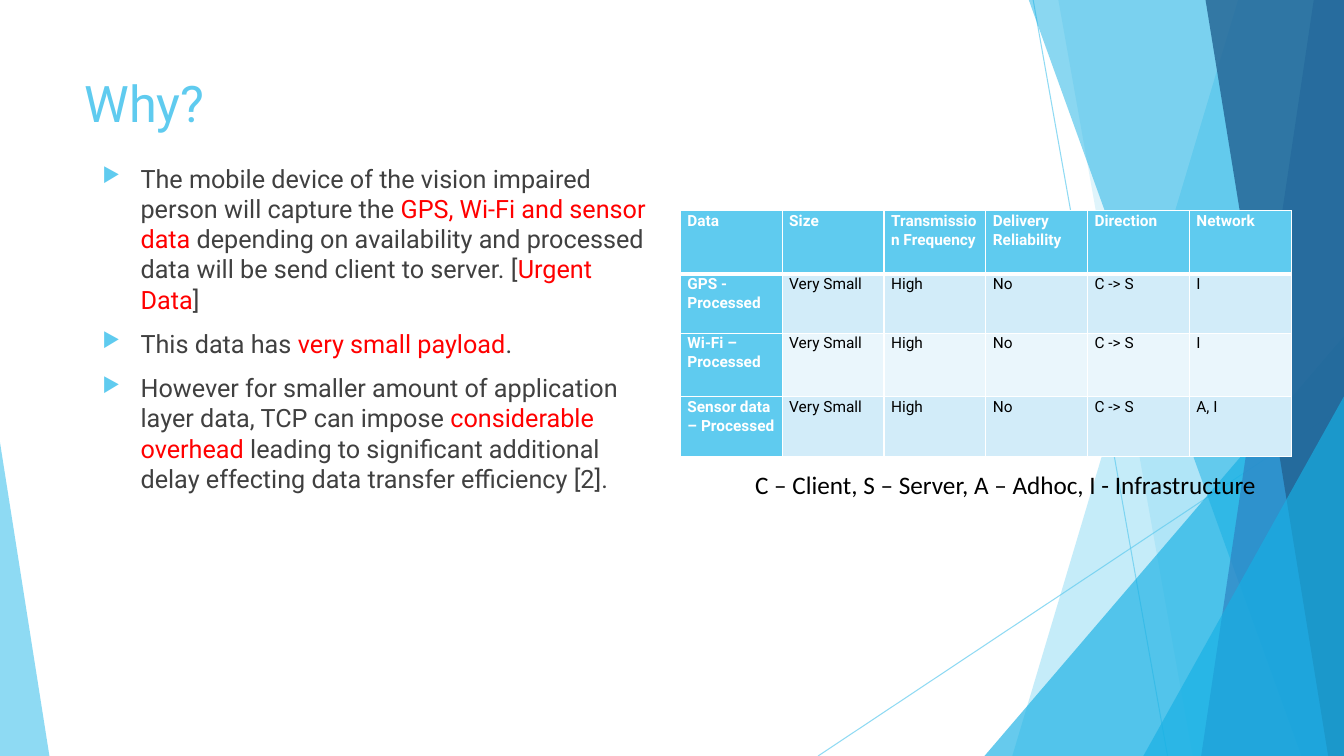
from lxml import etree
from pptx import Presentation, util as u
from pptx.dml.color import RGBColor
from pptx.enum import shapes, text
from pptx.oxml import ns

COLUMNS, ROWS = 40, 22.5
CELL = u.Inches(13.333) / COLUMNS

SKY, CYAN, BLUE, NAVY = "5FCBEF", "17B0E4", "2E83C3", "226292"
WHITE, BLACK, GREY, RED = "FFFFFF", "000000", "404040", "FF0000"
BANDS = ("D2ECF9", "EAF6FC")

# Each bullet alternates plain and highlighted runs.
BULLETS = [
    ["The mobile device of the vision impaired person will capture the ",
     "GPS, Wi-Fi and sensor data ",
     "depending on availability and processed data will be send client to server. [",
     "Urgent Data", "]"],
    ["This data has ", "very small payload", "."],
    ["However for smaller amount of application layer data, TCP can impose ",
     "considerable overhead ",
     "leading to significant additional delay effecting data transfer efficiency [2]."],
]
TRAFFIC = [
    ["Data", "Size", "Transmission Frequency", "Delivery Reliability", "Direction", "Network"],
    ["GPS - Processed", "Very Small", "High", "No", "C -> S", "I"],
    ["Wi-Fi – Processed", "Very Small", "High", "No", "C -> S", "I"],
    ["Sensor data – Processed", "Very Small", "High", "No", "C -> S", "A, I"],
]
TRAFFIC_ROWS = [1.88, 1.77, 1.89, 1.77]


def grid(*cells):
    """Turn counts of grid cells into lengths."""
    return [u.Emu(round(cell * CELL)) for cell in cells]


def color(value):
    return RGBColor.from_string(value)


def add_xml(parent, tag, **attributes):
    return etree.SubElement(parent, ns.qn(tag), attributes)


def set_opacity(shape, percent):
    """Make the shape's only colour, of fill or line, see-through."""
    tone = next(shape._element.spPr.iter(ns.qn("a:srgbClr")))
    add_xml(tone, "a:alpha", val=str(percent * 1000))


def paint(shape, fill, opacity):
    shape.shadow.inherit = False
    shape.line.fill.background()
    shape.fill.solid()
    shape.fill.fore_color.rgb = color(fill)
    set_opacity(shape, opacity)


def add_ray(slide, *ends):
    ray = slide.shapes.add_connector(shapes.MSO_CONNECTOR.STRAIGHT, *grid(*ends))
    ray.line.color.rgb = color(SKY)
    ray.line.width = u.Pt(0.75)
    set_opacity(ray, 70)
    add_xml(ray._element.spPr, "a:effectLst")


def add_facet(slide, top, bottom, fill, opacity):
    """Fill from a slanted edge to the right side of the slide."""
    outline = slide.shapes.build_freeform(*grid(top, 0))
    corners = [(COLUMNS, 0), (COLUMNS, ROWS), (bottom, ROWS)]
    outline.add_line_segments([grid(*corner) for corner in corners])
    paint(outline.convert_to_shape(), fill, opacity)


def add_corner(slide, left, top, width, apex, fill, opacity):
    """Add a right triangle that stands on the bottom of the slide."""
    triangle = slide.shapes.add_shape(
        shapes.MSO_SHAPE.ISOSCELES_TRIANGLE, *grid(left, top, width, ROWS - top))
    triangle.adjustments[0] = apex
    paint(triangle, fill, opacity)


def write(paragraph, words, size=18, font="Roboto", tone=GREY, bold=False):
    run = paragraph.add_run()
    run.text = words
    run.font.size = u.Pt(size)
    run.font.name = font
    run.font.bold = bold
    run.font.color.rgb = color(tone)


def add_text_frame(slide, *box, wrap=True):
    frame = slide.shapes.add_textbox(*grid(*box)).text_frame
    frame.word_wrap = wrap
    return frame


def add_bullets(slide, *box):
    frame = add_text_frame(slide, *box)
    for index, pieces in enumerate(BULLETS):
        paragraph = frame.add_paragraph() if index else frame.paragraphs[0]
        properties = paragraph._p.get_or_add_pPr()
        indent = u.Inches(0.38)
        properties.set("marL", str(indent))
        properties.set("indent", str(-indent))
        add_xml(add_xml(properties, "a:buClr"), "a:srgbClr", val=SKY)
        add_xml(properties, "a:buSzPct", val="80000")
        add_xml(properties, "a:buChar", char="▶")
        if index:
            paragraph.space_before = u.Pt(10)
        for number, words in enumerate(pieces):
            write(paragraph, words, tone=RED if number % 2 else GREY)


def add_borders(cell, **widths):
    for side in "LRTB":
        width = u.Pt(widths.get(side, 1))
        line = add_xml(cell._tc.get_or_add_tcPr(), f"a:ln{side}", w=str(width))
        add_xml(add_xml(line, "a:solidFill"), "a:srgbClr", val=WHITE)


def fill_cell(cell, words, row, column):
    heading = row == 0 or column == 0
    add_borders(cell, T=3 if row == 1 else 1, B=3 if row == 0 else 1)
    cell.fill.solid()
    cell.fill.fore_color.rgb = color(SKY if heading else BANDS[(row - 1) % 2])
    cell.margin_left = cell.margin_right = u.Inches(0.07)
    cell.margin_top = cell.margin_bottom = 0
    paragraph = cell.text_frame.paragraphs[0]
    paragraph.line_spacing = 1.07
    write(paragraph, words, size=11, tone=WHITE if heading else BLACK, bold=heading)


def add_traffic_table(slide, left, top, width):
    box = grid(left, top, width, sum(TRAFFIC_ROWS))
    table = slide.shapes.add_table(len(TRAFFIC), len(TRAFFIC[0]), *box).table
    for row, height in enumerate(grid(*TRAFFIC_ROWS)):
        table.rows[row].height = height
        for column, words in enumerate(TRAFFIC[row]):
            fill_cell(table.cell(row, column), words, row, column)


def add_backdrop(slide):
    add_ray(slide, 30.75, 0, 34.75, ROWS)
    add_ray(slide, COLUMNS, 12.1, 24.35, ROWS)
    add_facet(slide, 36.85, 30.13, SKY, 36)
    add_facet(slide, 31.5, 35.5, SKY, 20)
    add_corner(slide, 29.3, 10, 10.7, 1, CYAN, 66)
    add_facet(slide, 30.62, 38.73, CYAN, 50)
    add_facet(slide, 39.1, 35.75, BLUE, 70)
    add_facet(slide, 35.88, 39.53, NAVY, 80)
    add_corner(slide, 34.03, 11.8, 5.97, 1, CYAN, 66)
    add_corner(slide, 0, 13.17, 1.47, 0, SKY, 70)


def main():
    presentation = Presentation()
    presentation.slide_width, presentation.slide_height = grid(COLUMNS, ROWS)
    slide = presentation.slides.add_slide(presentation.slide_layouts[6])
    add_backdrop(slide)

    title = add_text_frame(slide, 2.22, 2, 28.2, 4.33)
    write(title.paragraphs[0], "Why?", size=36, tone=SKY)
    add_bullets(slide, 2.75, 4.7, 17, 15.55)
    add_traffic_table(slide, 20.25, 6.27, 18.18)

    legend = add_text_frame(slide, 22.08, 13.75, 15.7, 1.3, wrap=False).paragraphs[0]
    legend.alignment = text.PP_ALIGN.CENTER
    legend.line_spacing = 1.07
    legend.space_after = u.Pt(8)
    write(legend, "C – Client, S – Server, A – Adhoc, I - Infrastructure",
          font="Calibri", tone=BLACK)
    presentation.save("out.pptx")


if __name__ == "__main__":
    main()
